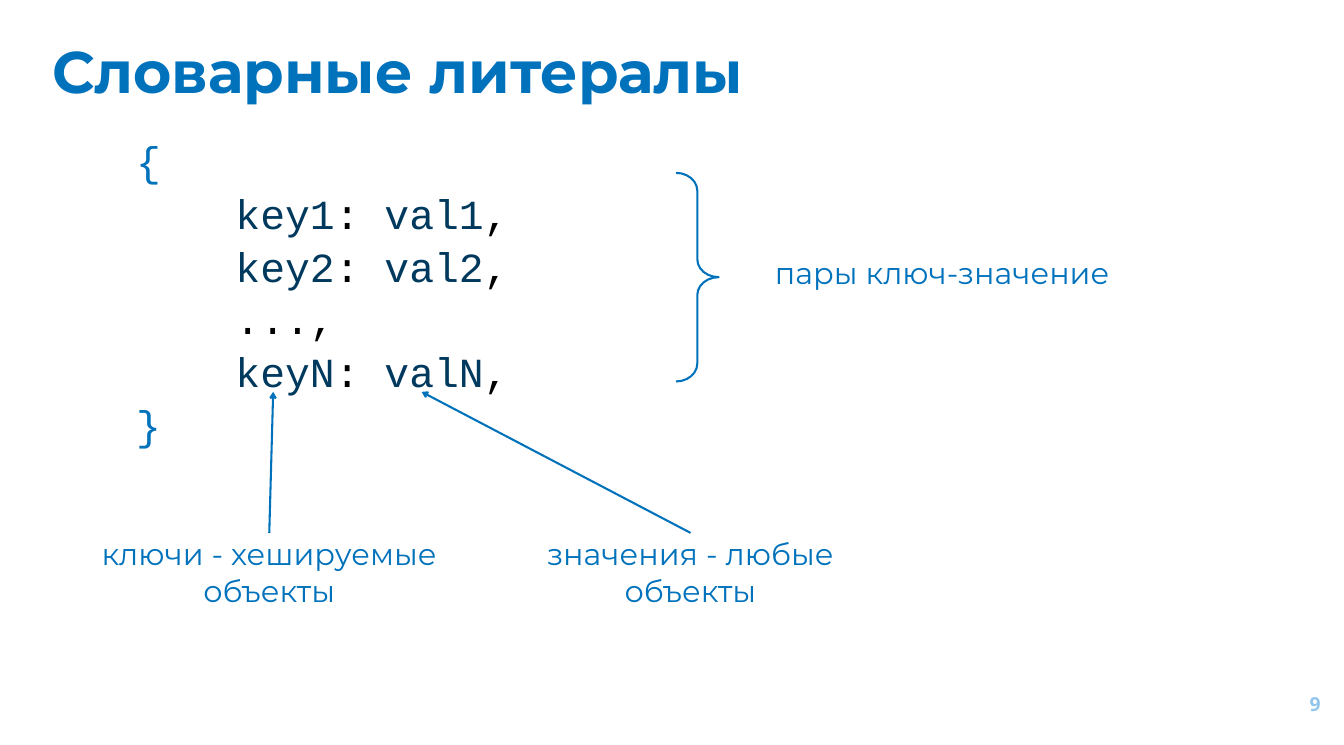
import pptx
import pptx.dml.color
import pptx.enum.shapes
import pptx.enum.text
import pptx.oxml
import pptx.oxml.ns
import pptx.util

Cm = pptx.util.Cm
Pt = pptx.util.Pt
ALIGN = pptx.enum.text.PP_ALIGN
ANCHOR = pptx.enum.text.MSO_ANCHOR

BLUE, NAVY, BLACK, PALE = "0072BC", "00395E", "000000", "92C5EB"


def color(hex_value):
    return pptx.dml.color.RGBColor.from_string(hex_value)


def style(span, font, size, hex_value, bold=False):
    span.font.name = font
    span.font.size = Pt(size)
    span.font.bold = bold
    span.font.color.rgb = color(hex_value)


deck = pptx.Presentation()
deck.slide_width, deck.slide_height = Cm(68.73), Cm(38.1)
page = deck.slides.add_slide(deck.slide_layouts[5])

# Title
title = page.shapes.title
title.left, title.top, title.width, title.height = Cm(2.44), Cm(1.55), Cm(42.29), Cm(4.88)
frame = title.text_frame
frame.text = "Словарные литералы"
frame.auto_size = pptx.enum.text.MSO_AUTO_SIZE.NONE
frame.vertical_anchor = ANCHOR.TOP
frame.margin_top = frame.margin_bottom = Cm(0.25)
frame.paragraphs[0].alignment = ALIGN.LEFT
style(frame.paragraphs[0].runs[0], "Montserrat", 85, BLUE, bold=True)

# Dictionary literal: each line is a list of (text, colour) spans
pairs = [
    [(f"key{n}", NAVY), (": ", BLACK), (f"val{n}", NAVY), (",", BLACK)]
    for n in ("1", "2", "N")
]
code_lines = [[("{", BLUE)], *pairs[:2], [("...,", BLACK)], pairs[2], [("}", BLUE)]]
code = page.shapes.add_textbox(Cm(6.71), Cm(6.65), Cm(20.22), Cm(15.65)).text_frame
code.word_wrap = True
for index, line in enumerate(code_lines):
    para = code.paragraphs[0] if index == 0 else code.add_paragraph()
    para.line_spacing = 1.06
    if 0 < index < len(code_lines) - 1:
        properties = para._p.get_or_add_pPr()
        properties.set("marL", str(Cm(5.08)))
        properties.set("indent", "0")
    for text, hex_value in line:
        span = para.add_run()
        span.text = text
        style(span, "Courier New", 60, hex_value)

# Brace around the pairs
brace = page.shapes.add_shape(
    pptx.enum.shapes.MSO_SHAPE.RIGHT_BRACE, Cm(34.57), Cm(8.84), Cm(2.18), Cm(10.67))
brace.adjustments[0], brace.adjustments[1] = 0.42, 0.5
brace.shadow.inherit = False
brace.fill.background()
brace.line.color.rgb = color(BLUE)
brace.line.width = Pt(3)

# Labels
labels = [
    ("ключи - хешируемые объекты", 3.76, 27.25, 20.02, 4.7),
    ("значения - любые объекты", 26.37, 27.25, 17.88, 4.7),
    ("пары ключ-значение", 38.18, 12.85, 20.02, 2.74),
]
for text, *place in labels:
    frame = page.shapes.add_textbox(*map(Cm, place)).text_frame
    frame.word_wrap = True
    frame.text = text
    frame.paragraphs[0].alignment = ALIGN.CENTER
    style(frame.paragraphs[0].runs[0], "Montserrat", 44, BLUE)

# Arrows from the lower labels up to the last pair
for start_x, end_x in [(13.77, 13.97), (35.31, 21.56)]:
    arrow = page.shapes.add_connector(
        pptx.enum.shapes.MSO_CONNECTOR.STRAIGHT, Cm(start_x), Cm(27.25), Cm(end_x), Cm(20.04))
    arrow.line.color.rgb = color(BLUE)
    arrow.line.width = Pt(3)
    namespace = pptx.oxml.ns.nsdecls("a")
    arrow.line._get_or_add_ln().append(
        pptx.oxml.parse_xml(f'<a:tailEnd {namespace} type="arrow"/>'))
    arrow._element.spPr.append(pptx.oxml.parse_xml(f"<a:effectLst {namespace}/>"))

# Page number
frame = page.shapes.add_textbox(Cm(63.68), Cm(34.54), Cm(4.11), Cm(2.92)).text_frame
frame.word_wrap = True
frame.vertical_anchor = ANCHOR.MIDDLE
frame.text = "9"
frame.paragraphs[0].alignment = ALIGN.RIGHT
style(frame.paragraphs[0].runs[0], "Open Sans", 28, PALE, bold=True)

deck.save("out.pptx")
